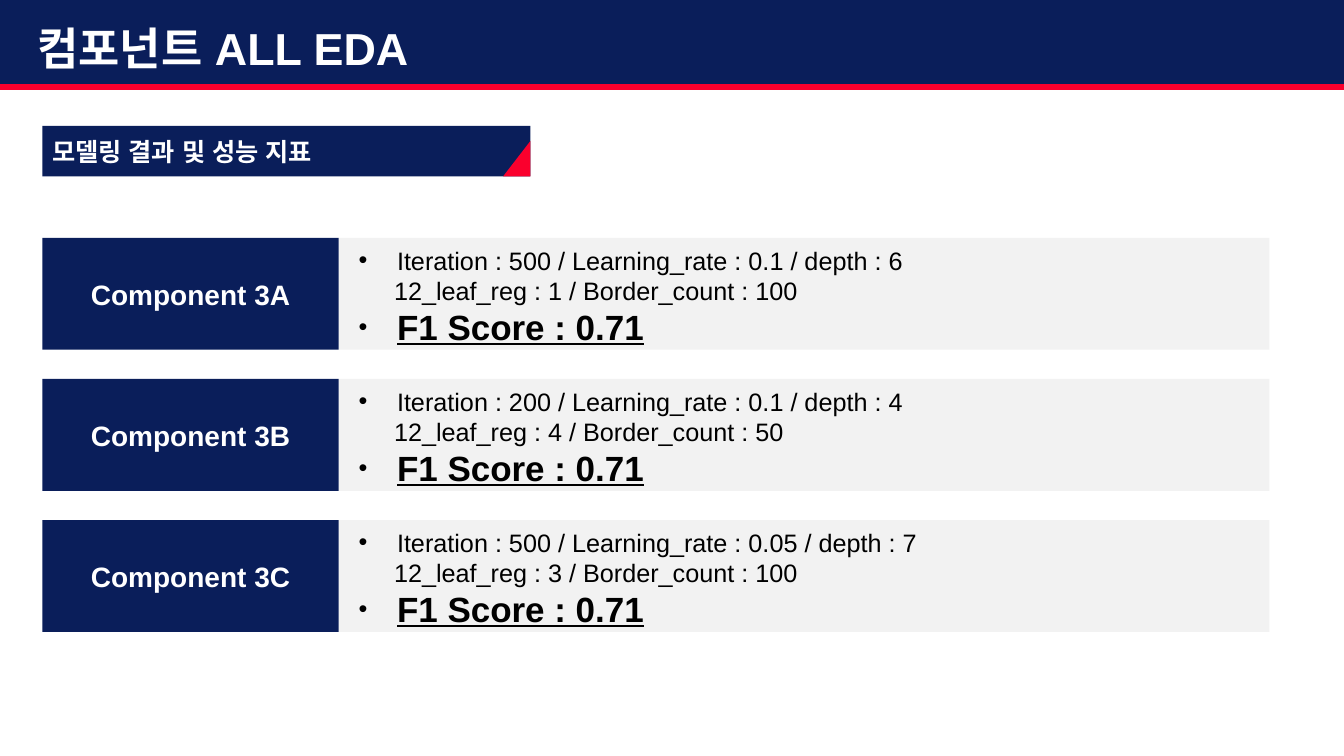
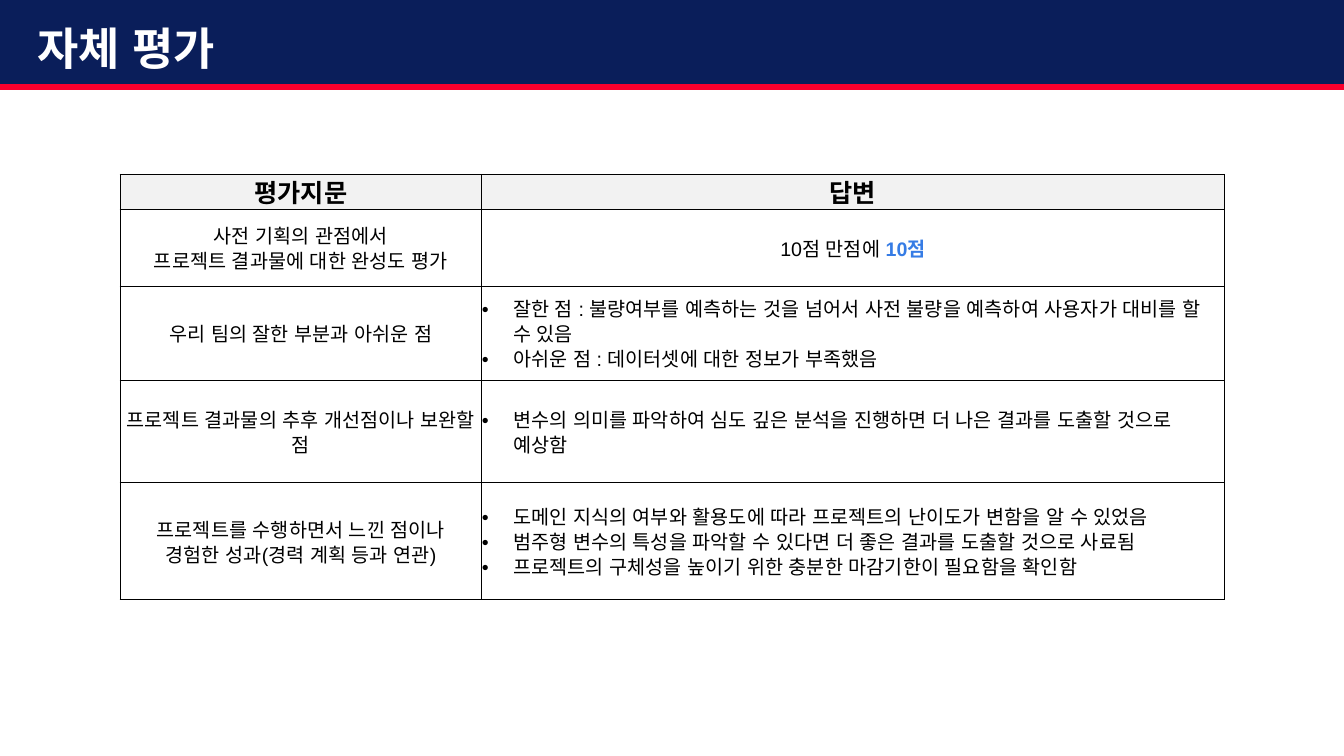
from dataclasses import dataclass

import pptx
import pptx.dml.color
import pptx.enum.shapes
import pptx.enum.text
import pptx.oxml.ns
import pptx.util
from lxml import etree

SHAPES = pptx.enum.shapes.MSO_SHAPE
ALIGN = pptx.enum.text.PP_ALIGN
MIDDLE = pptx.enum.text.MSO_ANCHOR.MIDDLE

# Content
RESULTS = {
    "title": "컴포넌트 ALL EDA",
    "heading": "모델링 결과 및 성능 지표",
    "components": [
        ("Component 3A", "Iteration : 500 / Learning_rate : 0.1 / depth : 6",
         "12_leaf_reg : 1 / Border_count : 100", "F1 Score : 0.71"),
        ("Component 3B", "Iteration : 200 / Learning_rate : 0.1 / depth : 4",
         "12_leaf_reg : 4 / Border_count : 50", "F1 Score : 0.71"),
        ("Component 3C", "Iteration : 500 / Learning_rate : 0.05 / depth : 7",
         "12_leaf_reg : 3 / Border_count : 100", "F1 Score : 0.71"),
    ],
}
REVIEW = {
    "title": "자체 평가",
    "header": ("평가지문", "답변"),
    "score": ("10점 만점에 ", "10점"),
    "rows": [
        (["사전 기획의 관점에서", "프로젝트 결과물에 대한 완성도 평가"], []),
        (["우리 팀의 잘한 부분과 아쉬운 점"],
         ["잘한 점 : 불량여부를 예측하는 것을 넘어서 사전 불량을 예측하여 사용자가 대비를 할 수 있음",
          "아쉬운 점 : 데이터셋에 대한 정보가 부족했음"]),
        (["프로젝트 결과물의 추후 개선점이나 보완할 점"],
         ["변수의 의미를 파악하여 심도 깊은 분석을 진행하면 더 나은 결과를 도출할 것으로 예상함"]),
        (["프로젝트를 수행하면서 느낀 점이나", "경험한 성과(경력 계획 등과 연관)"],
         ["도메인 지식의 여부와 활용도에 따라 프로젝트의 난이도가 변함을 알 수 있었음",
          "범주형 변수의 특성을 파악할 수 있다면 더 좋은 결과를 도출할 것으로 사료됨",
          "프로젝트의 구체성을 높이기 위한 충분한 마감기한이 필요함을 확인함"]),
    ],
}


@dataclass(frozen=True)
class Theme:
    font: str = "Arial"
    navy: str = "0A1E5A"
    red: str = "FA002D"
    blue: str = "367CE5"
    grey: str = "F2F2F2"
    white: str = "FFFFFF"
    black: str = "000000"
    title: int = 32
    score: int = 25
    label: int = 20
    body: int = 18
    cell: int = 14
    rule: float = 4.5
    border: float = 0.75


THEME = Theme()
WIDTH, HEIGHT = 13.33, 7.5
BAND = 0.86
MARGIN = 0.42
CARD_TOP, CARD_HEIGHT, CARD_PITCH = 2.36, 1.11, 1.4
LABEL_WIDTH, PANEL_WIDTH = 2.94, 9.23
TABLE_COLUMNS = (3.59, 7.36)
TABLE_ROWS = (0.35, 0.76, 0.93, 1.02, 1.16)


def inches(*values):
    return [pptx.util.Inches(value) for value in values]


def rgb(value):
    return pptx.dml.color.RGBColor.from_string(value)


def add_child(parent, tag, **attributes):
    child = etree.SubElement(parent, pptx.oxml.ns.qn(tag))
    for name, value in attributes.items():
        child.set(name, str(value))
    return child


def add_span(para, text, size, color, bold=False, underline=False):
    span = para.add_run()
    span.text = text
    font = span.font
    font.name, font.size = THEME.font, pptx.util.Pt(size)
    font.bold, font.underline = bold, underline
    font.color.rgb = rgb(color)
    add_child(span._r.get_or_add_rPr(), "a:ea", typeface=THEME.font)


def next_para(frame):
    """Use the empty first paragraph before adding another."""
    first = frame.paragraphs[0]
    return frame.add_paragraph() if first.runs else first


def indent(para, left, bullet=False, bullet_percent=100):
    properties = para._p.get_or_add_pPr()
    properties.set("marL", str(pptx.util.Inches(left)))
    if bullet:
        properties.set("indent", str(-pptx.util.Inches(left)))
        add_child(properties, "a:buSzPct", val=bullet_percent * 1000)
        add_child(properties, "a:buFont", typeface=THEME.font)
        add_child(properties, "a:buChar", char="•")


def add_block(page, preset, area, fill):
    block = page.shapes.add_shape(preset, *inches(*area))
    block.shadow.inherit = False
    block.fill.solid()
    block.fill.fore_color.rgb = rgb(fill)
    block.line.fill.background()
    return block


def add_label(page, area, text, size, align):
    block = add_block(page, SHAPES.RECTANGLE, area, THEME.navy)
    frame = block.text_frame
    frame.word_wrap, frame.vertical_anchor = True, MIDDLE
    para = frame.paragraphs[0]
    para.alignment = align
    add_span(para, text, size, THEME.white, bold=True)


def add_text_frame(page, area):
    frame = page.shapes.add_textbox(*inches(*area)).text_frame
    frame.word_wrap = True
    return frame


def add_page(deck, title):
    page = deck.slides.add_slide(deck.slide_layouts[6])
    add_block(page, SHAPES.RECTANGLE, (0, 0, WIDTH, BAND), THEME.navy)
    rule = page.shapes.add_connector(
        pptx.enum.shapes.MSO_CONNECTOR.STRAIGHT, *inches(0, BAND, WIDTH, BAND))
    rule.line.color.rgb = rgb(THEME.red)
    rule.line.width = pptx.util.Pt(THEME.rule)
    add_child(rule._element.spPr, "a:effectLst")
    frame = add_text_frame(page, (0.27, 0.16, 12.89, 0.64))
    add_span(frame.paragraphs[0], title, THEME.title, THEME.white, bold=True)
    return page


def add_heading(page, text):
    left, top, width, height = MARGIN, 1.25, 4.84, 0.5
    add_label(page, (left, top, width, height), text, THEME.body, ALIGN.LEFT)
    side, rise = 0.27, 0.35
    corner = add_block(page, SHAPES.RIGHT_TRIANGLE,
                       (left + width - side, top + height - rise, side, rise), THEME.red)
    corner._element.spPr.get_or_add_xfrm().set("flipH", "1")


def add_component(page, top, name, settings, more_settings, score):
    panel_left = MARGIN + LABEL_WIDTH
    add_block(page, SHAPES.RECTANGLE, (panel_left, top, PANEL_WIDTH, CARD_HEIGHT), THEME.grey)
    add_label(page, (MARGIN, top, LABEL_WIDTH, CARD_HEIGHT), name, THEME.label, ALIGN.CENTER)
    frame = add_text_frame(page, (panel_left + 0.1, top + 0.02, 8.74, 1.13))
    para = next_para(frame)
    indent(para, 0.38, bullet=True)
    add_span(para, settings, THEME.body, THEME.black)
    para = next_para(frame)
    indent(para, 0.35)
    add_span(para, more_settings, THEME.body, THEME.black)
    para = next_para(frame)
    indent(para, 0.38, bullet=True, bullet_percent=72)
    add_span(para, score, THEME.score, THEME.black, bold=True, underline=True)


def style_cell(cell, fill=None):
    cell.margin_left = cell.margin_right = cell.margin_top = cell.margin_bottom = 0
    cell.vertical_anchor = MIDDLE
    properties = cell._tc.get_or_add_tcPr()
    for side in ("L", "R", "T", "B"):
        line = add_child(properties, "a:ln" + side, w=pptx.util.Pt(THEME.border))
        add_child(add_child(line, "a:solidFill"), "a:srgbClr", val=THEME.black)
    if fill:
        cell.fill.solid()
        cell.fill.fore_color.rgb = rgb(fill)
    else:
        cell.fill.background()


def add_cell_para(cell, text, size=THEME.cell, bold=False, bullet=False):
    para = next_para(cell.text_frame)
    para.line_spacing = 1.14
    para.alignment = ALIGN.LEFT if bullet else ALIGN.CENTER
    if bullet:
        indent(para, 0.31, bullet=True)
    add_span(para, text, size, THEME.black, bold=bold)
    return para


def add_review_table(page):
    frame = page.shapes.add_table(
        len(TABLE_ROWS), len(TABLE_COLUMNS),
        *inches(1.19, 1.73, sum(TABLE_COLUMNS), sum(TABLE_ROWS)))
    table = frame.table
    table.first_row = table.horz_banding = False
    for column, width in zip(table.columns, TABLE_COLUMNS):
        column.width = pptx.util.Inches(width)
    for row, height in zip(table.rows, TABLE_ROWS):
        row.height = pptx.util.Inches(height)
    for index, text in enumerate(REVIEW["header"]):
        cell = table.cell(0, index)
        style_cell(cell, THEME.grey)
        add_cell_para(cell, text, THEME.body, bold=True)
    for index, (questions, answers) in enumerate(REVIEW["rows"], start=1):
        question_cell, answer_cell = table.cell(index, 0), table.cell(index, 1)
        style_cell(question_cell)
        style_cell(answer_cell)
        for text in questions:
            add_cell_para(question_cell, text)
        for text in answers:
            add_cell_para(answer_cell, text, bullet=True)
        if not answers:
            lead, score = REVIEW["score"]
            para = add_cell_para(answer_cell, lead)
            add_span(para, score, THEME.cell, THEME.blue, bold=True)


def main():
    deck = pptx.Presentation()
    deck.slide_width, deck.slide_height = inches(WIDTH, HEIGHT)

    results_page = add_page(deck, RESULTS["title"])
    add_heading(results_page, RESULTS["heading"])
    for index, component in enumerate(RESULTS["components"]):
        add_component(results_page, CARD_TOP + index * CARD_PITCH, *component)

    review_page = add_page(deck, REVIEW["title"])
    add_review_table(review_page)
    deck.save("out.pptx")


if __name__ == "__main__":
    main()
